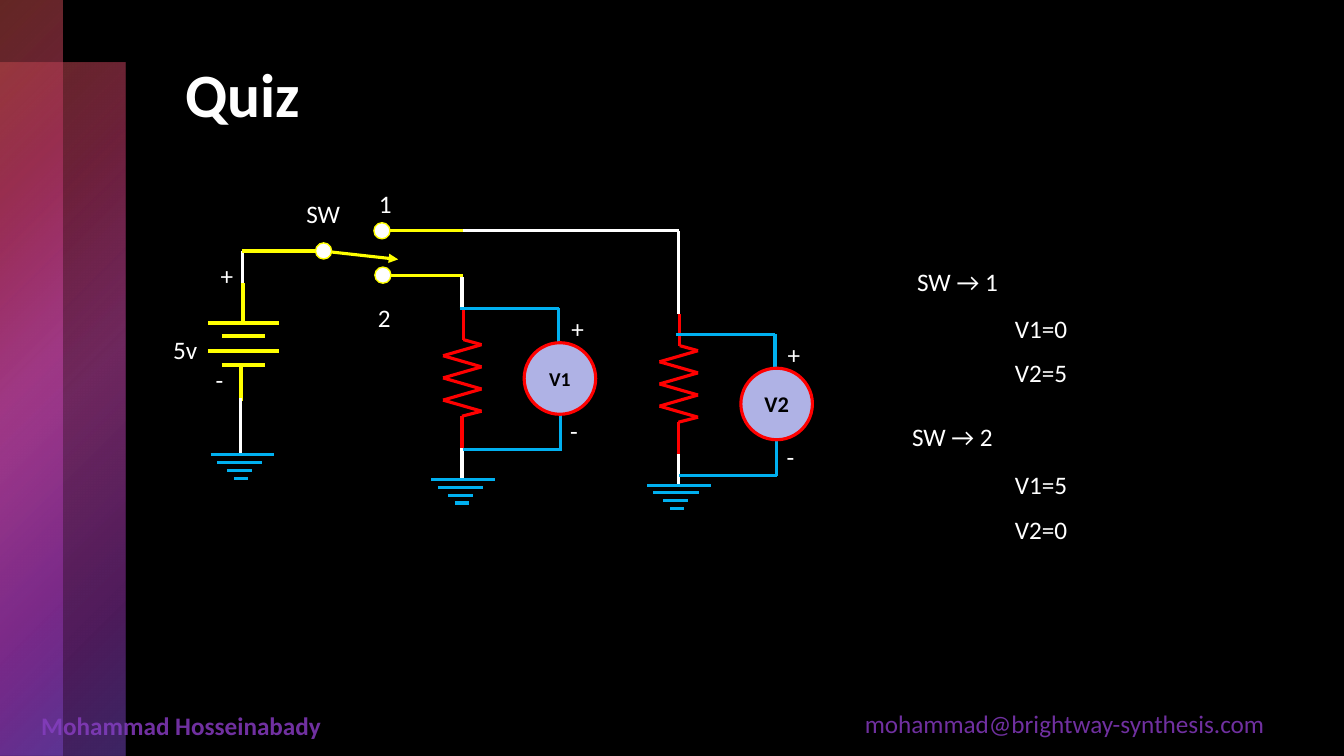
from itertools import pairwise

from lxml import etree
from pptx import Presentation
from pptx.dml.color import RGBColor
from pptx.enum.shapes import MSO_CONNECTOR, MSO_SHAPE
from pptx.enum.text import MSO_ANCHOR, MSO_AUTO_SIZE, PP_ALIGN
from pptx.oxml import parse_xml
from pptx.oxml.ns import nsdecls, qn
from pptx.util import Pt

STRAIGHT = MSO_CONNECTOR.STRAIGHT
OVAL, RECTANGLE = MSO_SHAPE.OVAL, MSO_SHAPE.RECTANGLE
TOP, MIDDLE = MSO_ANCHOR.TOP, MSO_ANCHOR.MIDDLE
FIT_TEXT, NO_FIT = MSO_AUTO_SIZE.SHAPE_TO_FIT_TEXT, MSO_AUTO_SIZE.NONE
CENTER = PP_ALIGN.CENTER
WHITE, BLACK, PURPLE, LAVENDER = "FFFFFF", "000000", "7030A0", "AFB2E5"
YELLOW, RED, BLUE = "FFFF00", "FF0000", "00B0F0"
FONT = "Calibri"
rgb = RGBColor.from_string

prs = Presentation()
prs.slide_width, prs.slide_height = Pt(960), Pt(540)
slide = prs.slides.add_slide(prs.slide_layouts[5])
slide.background.fill.solid()
slide.background.fill.fore_color.rgb = rgb(BLACK)


def wire(shapes, x1, y1, x2, y2, color, width=2.25):
    line = shapes.add_connector(STRAIGHT, Pt(x1), Pt(y1), Pt(x2), Pt(y2))
    line.line.color.rgb = rgb(color)
    line.line.width = Pt(width)
    etree.SubElement(line._element.spPr, qn("a:effectLst"))
    return line


def label(text, x, y, width, color=WHITE, bold=False):
    box = slide.shapes.add_textbox(Pt(x), Pt(y), Pt(width), Pt(29))
    frame = box.text_frame
    frame.word_wrap = False
    frame.auto_size = FIT_TEXT
    frame.text = text
    font = frame.paragraphs[0].runs[0].font
    font.name, font.size, font.bold = FONT, Pt(18), bold
    font.color.rgb = rgb(color)


# Footer: author and address
label("mohammad@brightway-synthesis.com", 610.6, 502.6, 331, PURPLE)
label("Mohammad Hosseinabady", 22.3, 504, 331, PURPLE, True)

# Translucent gradient strips on the left edge
gradient_stops = [(0, "C84E48", 50), (25, "B63665", 60), (50, "C848AC", 55),
                  (81, "9C36B6", 50), (99, "7948C8", 50)]
stops_xml = "".join(
    f'<a:gs pos="{pos * 1000}"><a:srgbClr val="{color}">'
    f'<a:alpha val="{alpha * 1000}"/></a:srgbClr></a:gs>'
    for pos, color, alpha in gradient_stops)
for top, width in [(45, 89.3), (0, 44.6)]:
    strip = slide.shapes.add_shape(RECTANGLE, 0, Pt(top), Pt(width), Pt(540 - top))
    strip.shadow.inherit = False
    strip.line.fill.background()
    strip._element.spPr.find(qn("a:prstGeom")).addnext(parse_xml(
        f'<a:gradFill {nsdecls("a")} rotWithShape="1"><a:gsLst>{stops_xml}</a:gsLst>'
        '<a:path path="circle"><a:fillToRect r="100000" b="100000"/></a:path>'
        '</a:gradFill>'))

# Title
title = slide.shapes.title
title.left, title.top, title.width, title.height = Pt(125.3), Pt(36), Pt(746.6), Pt(122.4)
title.text_frame.text = "Quiz"
title.text_frame.vertical_anchor = TOP
title.text_frame.auto_size = NO_FIT
heading = title.text_frame.paragraphs[0]
heading.alignment = PP_ALIGN.LEFT
heading_font = heading.runs[0].font
heading_font.name, heading_font.size, heading_font.bold = FONT, Pt(44), True
heading_font.color.rgb = rgb(WHITE)

# Battery: alternating long and short plates, then its two leads
for row, y in enumerate([230.6, 240, 251, 260.6]):
    inset = 10 * (row % 2)
    wire(slide.shapes, 148.5 + inset, y, 199.5 - inset, y, YELLOW, 3)
wire(slide.shapes, 173.5, 202.3, 173.5, 230.6, YELLOW, 3)
wire(slide.shapes, 172, 260.6, 172, 286.5, YELLOW, 3)

# Plain wires
for ends in [(330, 220.3, 330, 198), (330, 342, 330, 319.7), (172, 324, 172, 284.4),
             (173.5, 202.3, 173.5, 179.3), (484.6, 346.3, 484.6, 324),
             (330.5, 164.9, 485.3, 164.9), (484.6, 164.9, 484.6, 224.6)]:
    wire(slide.shapes, *ends, WHITE)

# Switch contacts and arm
for ends in [(172.8, 179.3, 230.4, 179.3), (272.9, 164.9, 330.5, 164.9),
             (273.6, 196.6, 330.5, 196.6)]:
    wire(slide.shapes, *ends, YELLOW)
arm = wire(slide.shapes, 230.4, 179.3, 284.4, 185.3, YELLOW)
etree.SubElement(arm._element.spPr.find(qn("a:ln")), qn("a:tailEnd"), type="triangle")

# Resistors
zigzag = [(14 if turn % 2 == 0 else -13.5, 25.9 + 7.92 * turn) for turn in range(7)]
resistor_path = [(1, 0), (1, 22.3), *zigzag, (0, 77), (0, 99.4)]
for x, y in [(330, 220.3), (484.6, 224.6)]:
    resistor = slide.shapes.add_group_shape()
    for (x1, y1), (x2, y2) in pairwise(resistor_path):
        wire(resistor.shapes, x + x1, y + y1, x + x2, y + y2, RED)

# Grounds
ground_bars = [(0, 45.5), (4.5, 37), (11.7, 29.5), (16.7, 26.5)]
for x, y in [(462.2, 346.5), (308.2, 342.5), (150.5, 324.7)]:
    ground = slide.shapes.add_group_shape()
    for row, (start, end) in enumerate(ground_bars):
        bar_y = y + 5.6 * row
        wire(ground.shapes, x + start, bar_y, x + end, bar_y, BLUE)

# Voltmeter leads and polarity signs
for dx, dy in [(0, 0), (154.6, 18.5)]:
    for x1, y1, x2, y2 in [(399, 244.8, 399, 220.3), (400.3, 321.8, 400.3, 296),
                           (328.3, 220.3, 399, 220.3), (330.5, 321.1, 400.3, 321.1)]:
        wire(slide.shapes, x1 + dx, y1 + dy, x2 + dx, y2 + dy, BLUE)
    label("+", 401 + dx, 220.3 + dy, 25.2)
    label("-", 400.2 + dx, 293 + dy, 21.6)

# Switch terminals and voltmeters
for x, y, size, fill, outline, weight, name, name_size in [
        (225.4, 173.5, 11.5, WHITE, YELLOW, 1, "", 0),
        (267.1, 159.1, 11.5, WHITE, YELLOW, 1, "", 0),
        (267.8, 190.8, 11.5, WHITE, YELLOW, 1, "", 0),
        (374.4, 244.8, 51.1, LAVENDER, RED, 2.25, "V1", 14),
        (529.2, 263, 51.1, LAVENDER, RED, 2.25, "V2", 16)]:
    circle = slide.shapes.add_shape(OVAL, Pt(x), Pt(y), Pt(size), Pt(size))
    circle.shadow.inherit = False
    circle.fill.solid()
    circle.fill.fore_color.rgb = rgb(fill)
    circle.line.color.rgb = rgb(outline)
    circle.line.width = Pt(weight)
    if name:
        circle.text_frame.text = name
        circle.text_frame.word_wrap = False
        circle.text_frame.vertical_anchor = MIDDLE
        caption = circle.text_frame.paragraphs[0]
        caption.alignment = CENTER
        caption_font = caption.runs[0].font
        caption_font.name, caption_font.size, caption_font.bold = FONT, Pt(name_size), True
        caption_font.color.rgb = rgb(BLACK)

# Battery and switch labels
for text, x, y, width in [("+", 150.5, 182.2, 25.2), ("-", 146.9, 257, 21.6),
                          ("5v", 116.6, 235.4, 34.6), ("SW", 211.7, 138.2, 44.6),
                          ("1", 263.5, 131, 23.6), ("2", 262.8, 212.4, 23.6)]:
    label(text, x, y, width)

# Answers for each switch position
for text, x, y, width in [("SW → 1", 648, 186.5, 83.5), ("V1=0", 717.8, 220.3, 56.9),
                          ("V2=5", 717.8, 252, 56.9), ("SW → 2", 644.4, 297.4, 83.5),
                          ("V1=5", 717.8, 332, 56.9), ("V2=0", 717.8, 363.6, 56.9)]:
    label(text, x, y, width)

prs.save("out.pptx")
